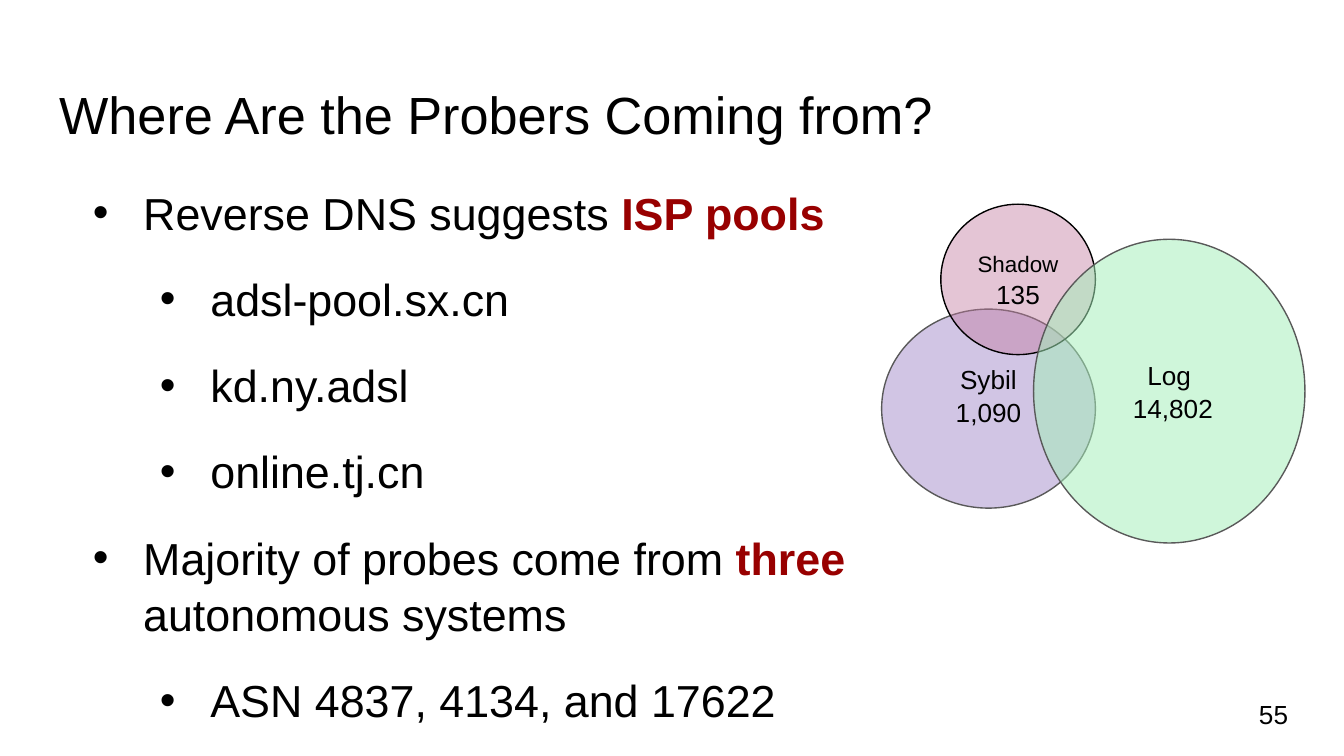
from dataclasses import dataclass

from lxml import etree
from pptx import Presentation
from pptx.dml.color import RGBColor
from pptx.enum.shapes import MSO_SHAPE
from pptx.enum.text import MSO_ANCHOR, MSO_AUTO_SIZE, PP_ALIGN
from pptx.oxml.ns import qn
from pptx.util import Pt

OVAL = MSO_SHAPE.OVAL
TOP, MIDDLE = MSO_ANCHOR.TOP, MSO_ANCHOR.MIDDLE
NO_AUTOFIT = MSO_AUTO_SIZE.NONE
LEFT, CENTER = PP_ALIGN.LEFT, PP_ALIGN.CENTER


@dataclass(frozen=True)
class Theme:
    font: str = "Arial"
    ink: str = "000000"
    accent: str = "980000"
    outline: str = "595959"
    sybil: str = "987CC2"
    shadow: str = "C27BA0"
    log: str = "A5EEBA"
    title_size: int = 28
    body_size: int = 24
    label_size: int = 14
    small_size: int = 12
    line_spacing: float = 1.05
    inset: float = 7.2


THEME = Theme()

# Each item: level, then (text, emphasised) pieces
FINDINGS = [
    (0, [("Reverse DNS suggests ", False), ("ISP pools", True)]),
    (1, [("adsl-pool.sx.cn", False)]),
    (1, [("kd.ny.adsl", False)]),
    (1, [("online.tj.cn", False)]),
    (0, [("Majority of probes come from ", False), ("three", True),
         (" autonomous systems", False)]),
    (1, [("ASN 4837, 4134, and 17622", False)]),
]

# Each set: box, fill, opacity %, outline, labels with sizes, upward label shift
PROBER_SETS = [
    ((472.3, 165.6, 114.5, 106.6), THEME.sybil, 44, THEME.outline,
     [("Sybil", THEME.label_size), ("1,090", THEME.label_size)], 7.3),
    ((504, 109.4, 82.8, 80.6), THEME.shadow, 44, THEME.ink,
     [("Shadow", THEME.small_size), ("135", THEME.label_size)], 0),
    ((553.7, 128.2, 145.4, 162.7), THEME.log, 53, THEME.outline,
     [("Log", THEME.label_size), (" 14,802", THEME.label_size)], 0),
]


def apply(target, formats):
    for attribute, value in formats.items():
        setattr(target, attribute, value)


def place(shape, box):
    apply(shape, dict(zip(("left", "top", "width", "height"), map(Pt, box))))


def format_frame(frame, anchor, wrap=True, lift=0):
    """Set anchor and insets; lift raises middle-anchored text by that many points."""
    inset = Pt(THEME.inset)
    apply(frame, {
        "auto_size": NO_AUTOFIT, "word_wrap": wrap, "vertical_anchor": anchor,
        "margin_left": inset, "margin_right": inset, "margin_top": inset,
        "margin_bottom": Pt(THEME.inset + 2 * lift),
    })


def format_paragraph(paragraph, align=LEFT, after=0):
    apply(paragraph, {
        "alignment": align, "line_spacing": THEME.line_spacing,
        "space_before": Pt(0), "space_after": Pt(after),
    })


def add_run(paragraph, text, size, color=THEME.ink, bold=False):
    run = paragraph.add_run()
    run.text = text
    apply(run.font, {"name": THEME.font, "size": Pt(size), "bold": bold})
    run.font.color.rgb = RGBColor.from_string(color)


def nth_paragraph(frame, index):
    return frame.add_paragraph() if index else frame.paragraphs[0]


def add_bullet(paragraph, indent, hanging):
    properties = paragraph._p.get_or_add_pPr()
    properties.set("marL", str(Pt(indent)))
    properties.set("indent", str(-Pt(hanging)))
    color = etree.SubElement(properties, qn("a:buClr"))
    etree.SubElement(color, qn("a:srgbClr"), val=THEME.ink)
    etree.SubElement(properties, qn("a:buFont"), typeface=THEME.font)
    etree.SubElement(properties, qn("a:buChar"), char="•")


def fill_title(title, box):
    place(title, box)
    format_frame(title.text_frame, TOP)
    heading = title.text_frame.paragraphs[0]
    format_paragraph(heading)
    add_run(heading, "Where Are the Probers Coming from?", THEME.title_size)


def fill_findings(body, box):
    place(body, box)
    frame = body.text_frame
    format_frame(frame, TOP)
    for index, (level, pieces) in enumerate(FINDINGS):
        finding = nth_paragraph(frame, index)
        finding.level = level
        add_bullet(finding, 45 + 36 * level, 27)
        format_paragraph(finding, after=16)
        for text, emphasised in pieces:
            color = THEME.accent if emphasised else THEME.ink
            add_run(finding, text, THEME.body_size, color, emphasised)


def add_prober_set(slide, box, fill, opacity, outline, labels, lift):
    circle = slide.shapes.add_shape(OVAL, *map(Pt, box))
    circle.shadow.inherit = False
    circle.fill.solid()
    circle.fill.fore_color.rgb = RGBColor.from_string(fill)
    fill_color = circle.fill._xPr.find(qn("a:solidFill"))[0]
    etree.SubElement(fill_color, qn("a:alpha"), val=str(opacity * 1000))
    circle.line.color.rgb = RGBColor.from_string(outline)
    circle.line.width = Pt(0.75)
    format_frame(circle.text_frame, MIDDLE, wrap=False, lift=lift)
    for index, (text, size) in enumerate(labels):
        label = nth_paragraph(circle.text_frame, index)
        format_paragraph(label, CENTER)
        add_run(label, text, size)


def add_page_number(slide, box):
    number = slide.shapes.add_textbox(*map(Pt, box))
    format_frame(number.text_frame, MIDDLE)
    add_run(number.text_frame.paragraphs[0], "55", THEME.label_size)


def main():
    deck = Presentation()
    apply(deck, {"slide_width": Pt(720), "slide_height": Pt(405)})
    slide = deck.slides.add_slide(deck.slide_layouts[1])
    fill_title(slide.shapes.title, (24.5, 35.3, 671, 45.4))
    fill_findings(slide.placeholders[1], (24.5, 90.7, 450, 269.3))
    add_page_number(slide, (667.4, 367.2, 43.2, 31))
    for prober_set in PROBER_SETS:
        add_prober_set(slide, *prober_set)
    deck.save("out.pptx")


if __name__ == "__main__":
    main()
